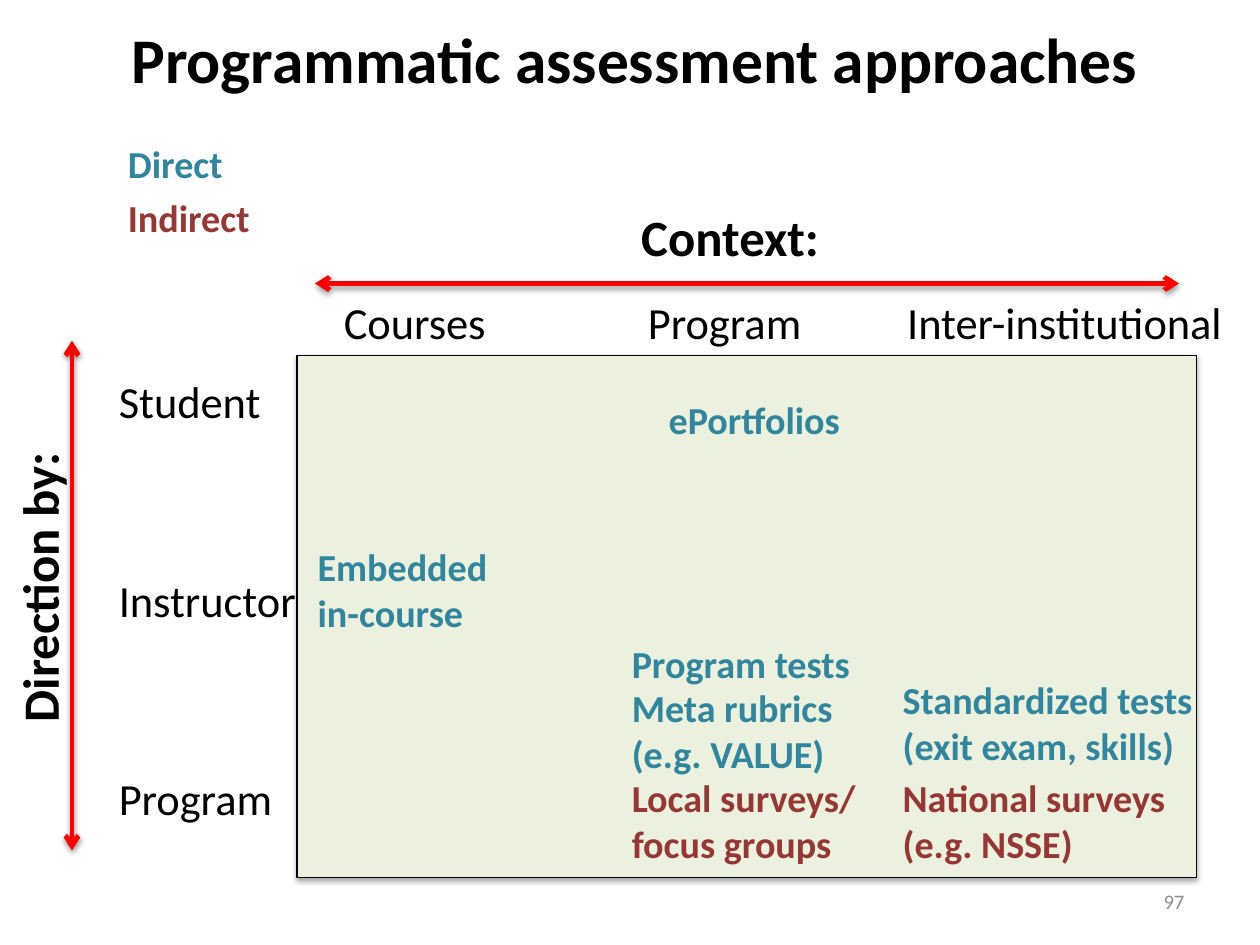
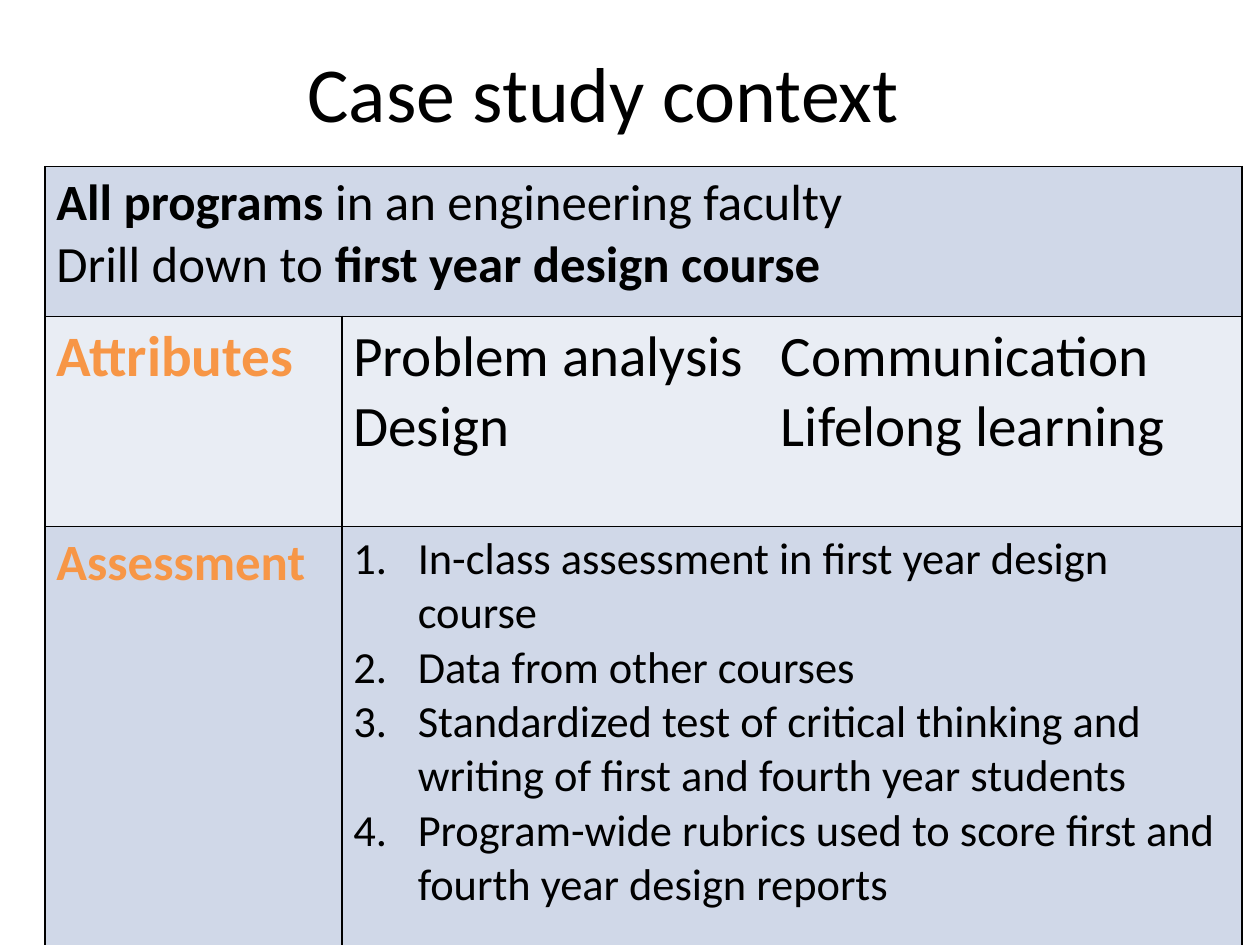
import lxml.etree
import pptx
import pptx.dml.color
import pptx.enum.shapes
import pptx.enum.text
import pptx.oxml.ns
import pptx.util

Cm = pptx.util.Cm
Pt = pptx.util.Pt
RGBColor = pptx.dml.color.RGBColor
qn = pptx.oxml.ns.qn
Align = pptx.enum.text.PP_ALIGN
Anchor = pptx.enum.text.MSO_ANCHOR
AutoSize = pptx.enum.text.MSO_AUTO_SIZE

BLACK = RGBColor(0x00, 0x00, 0x00)
GREY = RGBColor(0x8C, 0x8C, 0x8C)
RED = RGBColor(0xFF, 0x00, 0x00)
DIRECT = RGBColor(0x31, 0x85, 0x9C)
INDIRECT = RGBColor(0x95, 0x37, 0x35)
MATRIX_FILL = RGBColor(0xEB, 0xF1, 0xDE)
ORANGE = RGBColor(0xF7, 0x96, 0x46)
BAND_DARK = RGBColor(0xD0, 0xD8, 0xE8)
BAND_LIGHT = RGBColor(0xE9, 0xED, 0xF4)

FONT = "Calibri"
LABEL = {"name": FONT, "size": Pt(28), "bold": False}
ENTRY = {"name": FONT, "size": Pt(24), "bold": True}
AXIS = {"name": FONT, "size": Pt(32), "bold": True}
NUMBER = {"name": FONT, "size": Pt(13), "bold": False}
INTRO = {"name": FONT, "size": Pt(32), "bold": False}
ATTRIBUTE = {"name": FONT, "size": Pt(36), "bold": False}
FRAME_INSETS = {"margin_left": Cm(0.28), "margin_right": Cm(0.28),
                "margin_top": Cm(0.16), "margin_bottom": Cm(0.16),
                "vertical_anchor": Anchor.MIDDLE, "word_wrap": True}


def apply(target, values):
    for name, value in values.items():
        setattr(target, name, value)


def add_xml(parent, tag, **attributes):
    child = lxml.etree.SubElement(parent, qn(tag))
    for name, value in attributes.items():
        child.set(name, str(value))
    return child


def add_run(paragraph, text, style, color=BLACK):
    run = paragraph.add_run()
    run.text = text
    apply(run.font, style)
    run.font.color.rgb = color


def write_lines(frame, lines, style, color=BLACK):
    for index, line in enumerate(lines):
        paragraph = frame.add_paragraph() if index else frame.paragraphs[0]
        add_run(paragraph, line, style, color)


def add_text(slide, box, lines, style, color=BLACK, wrap=True):
    textbox = slide.shapes.add_textbox(*map(Cm, box))
    apply(textbox.text_frame, {"word_wrap": wrap,
                               "auto_size": AutoSize.SHAPE_TO_FIT_TEXT})
    write_lines(textbox.text_frame, lines, style, color)
    return textbox


def add_title(slide, box, text, size, bold):
    title = slide.shapes.title
    apply(title, dict(zip(("left", "top", "width", "height"), map(Cm, box))))
    apply(title.text_frame, FRAME_INSETS | {"auto_size": AutoSize.NONE})
    heading = title.text_frame.paragraphs[0]
    heading.alignment = Align.CENTER
    add_run(heading, text, {"name": FONT, "size": Pt(size), "bold": bold})


def add_slide_number(slide, box, number):
    textbox = slide.shapes.add_textbox(*map(Cm, box))
    apply(textbox.text_frame, FRAME_INSETS)
    paragraph = textbox.text_frame.paragraphs[0]
    paragraph.alignment = Align.RIGHT
    add_run(paragraph, number, NUMBER, GREY)


def add_shadow(effects, distance, opacity):
    shadow = add_xml(effects, "a:outerShdw", blurRad=Pt(3.1),
                     dist=Pt(distance), dir=90 * 60000, rotWithShape=0)
    add_xml(add_xml(shadow, "a:srgbClr", val=BLACK), "a:alpha", val=opacity * 1000)


def add_axis_arrow(slide, start, end):
    arrow = slide.shapes.add_connector(
        pptx.enum.shapes.MSO_CONNECTOR.STRAIGHT, *map(Cm, start + end))
    arrow.line.color.rgb = RED
    arrow.line.width = Pt(3)
    properties = arrow.element.spPr
    outline = properties.find(qn("a:ln"))
    for tag in ("a:headEnd", "a:tailEnd"):
        add_xml(outline, tag, type="arrow")
    add_shadow(add_xml(properties, "a:effectLst"), 1.6, 38)


def add_legend(slide, box):
    left, top, width, height = box
    for index, (name, color) in enumerate((("Direct", DIRECT), ("Indirect", INDIRECT))):
        add_text(slide, (left, top + index * 1.19, width, height), [name], ENTRY, color)


def add_matrix(slide, box):
    left, top, width, height = box
    matrix = slide.shapes.add_shape(
        pptx.enum.shapes.MSO_SHAPE.RECTANGLE, *map(Cm, box))
    matrix.fill.solid()
    matrix.fill.fore_color.rgb = MATRIX_FILL
    matrix.line.color.rgb = BLACK
    matrix.line.width = Pt(0.75)
    matrix.shadow.inherit = False
    add_shadow(matrix.element.spPr.find(qn("a:effectLst")), 1.8, 35)

    directors = (("Student", 3.7), ("Instructor", 4.6), ("Program", 4))
    for index, (name, label_width) in enumerate(directors):
        add_text(slide, (left - 4.21, top + 0.28 + index * 4.42, label_width, 1.48),
                 [name], LABEL, wrap=False)
    contexts = (("Courses", 0.79, 3.7), ("Program", 7.55, 4),
                ("Inter-institutional", 13.31, 7.65))
    for name, offset, label_width in contexts:
        add_text(slide, (left + offset, top - 1.47, label_width, 1.48),
                 [name], LABEL, wrap=False)

    add_axis_arrow(slide, (left - 5, top - 0.33), (left - 5, top + height - 0.6))
    add_axis_arrow(slide, (left + width - 0.4, top - 1.6), (left + 0.4, top - 1.6))
    direction = add_text(slide, (left - 9.01, top + 4.29, 6.58, 1.65),
                         ["Direction by:"], AXIS, wrap=False)
    direction.rotation = 270
    add_text(slide, (left + 7.4, top - 3.45, 4.55, 1.65), ["Context:"], AXIS, wrap=False)

    entries = (
        (8.01, 0.79, 4.8, DIRECT, ["ePortfolios"]),
        (0.21, 4.06, 5.6, DIRECT, ["Embedded", "in-course"]),
        (7.19, 6.2, 7.4, DIRECT, ["Program tests"]),
        (7.19, 7.19, 7.4, DIRECT, ["Meta rubrics", "(e.g. VALUE)"]),
        (13.21, 7.01, 7.4, DIRECT, ["Standardized tests", "(exit exam, skills)"]),
        (7.19, 9.19, 9, INDIRECT, ["Local surveys/", "focus groups"]),
        (13.21, 9.19, 9, INDIRECT, ["National surveys", "(e.g. NSSE)"]),
    )
    for x, y, entry_width, color, lines in entries:
        add_text(slide, (left + x, top + y, entry_width, 0.27 + 1.03 * len(lines)),
                 lines, ENTRY, color)


def format_cell(cell, fill):
    cell.fill.solid()
    cell.fill.fore_color.rgb = fill
    properties = cell._tc.get_or_add_tcPr()
    for index, tag in enumerate(("a:lnL", "a:lnR", "a:lnT", "a:lnB")):
        border = add_xml(properties, tag, w=Pt(1))
        add_xml(add_xml(border, "a:solidFill"), "a:srgbClr", val=BLACK)
        properties.insert(index, border)


def add_tab_stop(paragraph, position):
    tabs = add_xml(paragraph._p.get_or_add_pPr(), "a:tabLst")
    add_xml(tabs, "a:tab", pos=Cm(position), algn="l")


def number_paragraph(paragraph, indent):
    properties = paragraph._p.get_or_add_pPr()
    properties.set("marL", str(Cm(indent)))
    properties.set("indent", str(-Cm(indent)))
    add_xml(add_xml(properties, "a:buClr"), "a:srgbClr", val=BLACK)
    add_xml(properties, "a:buFont", typeface="+mj-lt")
    add_xml(properties, "a:buAutoNum", type="arabicPeriod")


def add_context_table(slide, box):
    table = slide.shapes.add_table(3, 2, *map(Cm, box)).table
    apply(table, {"first_row": False, "horz_banding": False})
    for column, share in zip(table.columns, (6.6, box[2] - 6.6)):
        column.width = Cm(share)
    for row, share in zip(table.rows, (3.33, 4.67, box[3] - 8)):
        row.height = Cm(share)
    for row, fill in zip(table.rows, (BAND_DARK, BAND_LIGHT, BAND_DARK)):
        for cell in row.cells:
            format_cell(cell, fill)

    intro = table.cell(0, 0)
    intro.merge(table.cell(0, 1))
    intro_lines = (
        (("All programs ", True), ("in an engineering faculty", False)),
        (("Drill down to ", False), ("first year design course", True)),
    )
    for index, line in enumerate(intro_lines):
        frame = intro.text_frame
        paragraph = frame.add_paragraph() if index else frame.paragraphs[0]
        for text, bold in line:
            add_run(paragraph, text, INTRO | {"bold": bold})

    write_lines(table.cell(1, 0).text_frame, ["Attributes"],
                ATTRIBUTE | {"bold": True}, ORANGE)
    write_lines(table.cell(2, 0).text_frame, ["Assessment"], AXIS, ORANGE)

    attributes = table.cell(1, 1).text_frame
    write_lines(attributes, ["Problem analysis\tCommunication",
                             "Design\tLifelong learning"], ATTRIBUTE)
    for paragraph in attributes.paragraphs:
        add_tab_stop(paragraph, 9.5)

    assessments = table.cell(2, 1).text_frame
    write_lines(assessments, [
        "In-class assessment in first year design course",
        "Data from other courses",
        "Standardized test of critical thinking and writing of first and fourth year students",
        "Program-wide rubrics used to score first and fourth year design reports",
    ], LABEL)
    for paragraph in assessments.paragraphs:
        number_paragraph(paragraph, 1.43)


def build_approaches_slide(slide):
    add_title(slide, (1.4, 0.08, 25.4, 2.41), "Programmatic assessment approaches", 40, True)
    add_slide_number(slide, (20.07, 19.46, 6.53, 1.12), "97")
    add_legend(slide, (2.59, 3, 4.8, 1.3))
    add_matrix(slide, (6.6, 7.9, 20, 11.6))


def build_case_study_slide(slide):
    add_title(slide, (0.8, 0.5, 25.2, 3.05), "Case study context", 49, False)
    add_context_table(slide, (1, 3.7, 26.6, 17.4))


def main():
    presentation = pptx.Presentation()
    apply(presentation, {"slide_width": Cm(28), "slide_height": Cm(21)})
    title_only = presentation.slide_layouts[5]
    for build in (build_approaches_slide, build_case_study_slide):
        build(presentation.slides.add_slide(title_only))
    presentation.save("out.pptx")


if __name__ == "__main__":
    main()
